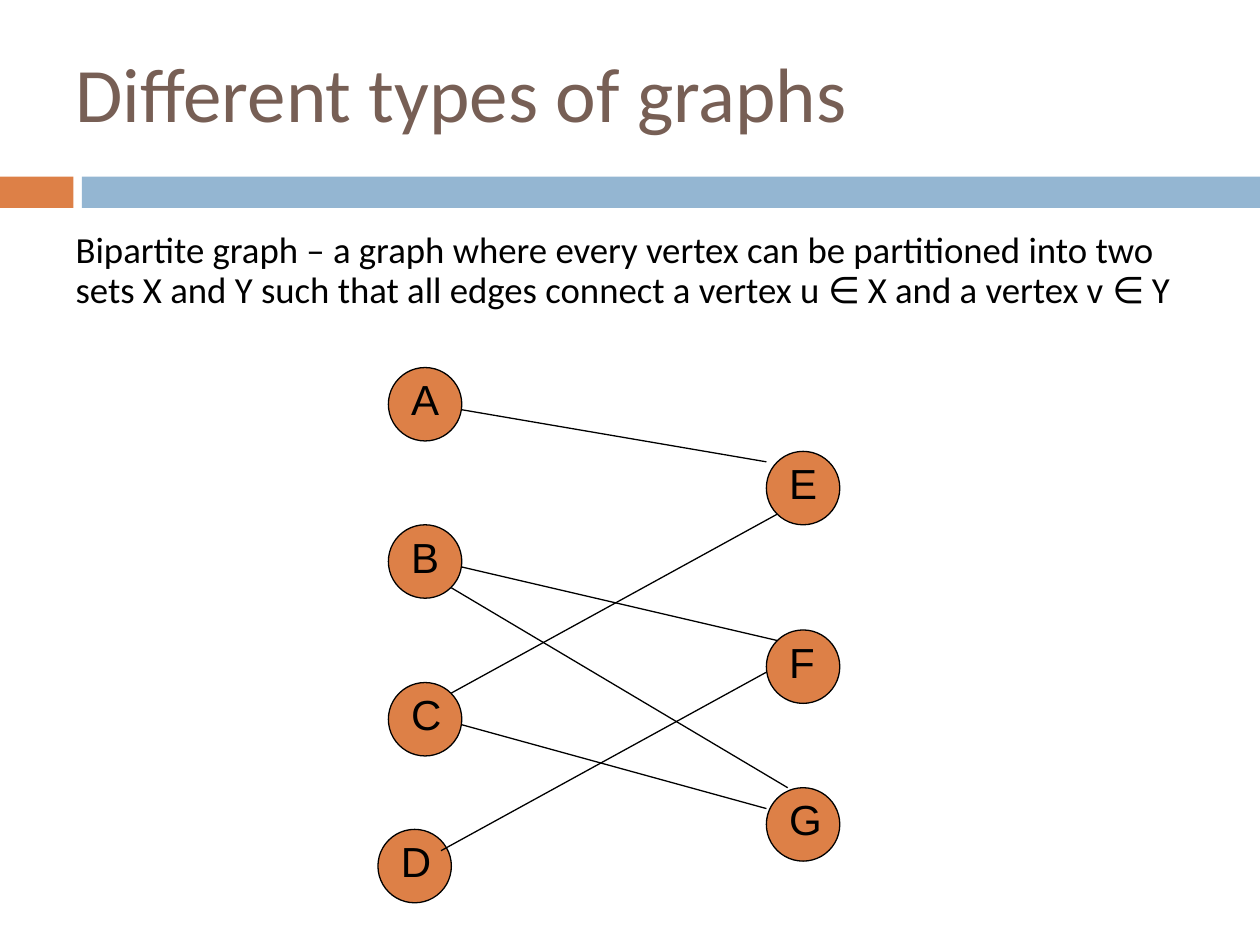
from dataclasses import dataclass

from lxml import etree
from pptx import Presentation
from pptx.dml.color import RGBColor
from pptx.enum.shapes import MSO_CONNECTOR, MSO_SHAPE
from pptx.enum.text import MSO_ANCHOR, MSO_AUTO_SIZE, PP_ALIGN
from pptx.oxml.ns import qn
from pptx.shapes.autoshape import Shape
from pptx.slide import Slide
from pptx.text.text import TextFrame
from pptx.util import Cm, Pt

RECTANGLE = MSO_SHAPE.RECTANGLE
OVAL = MSO_SHAPE.OVAL
STRAIGHT = MSO_CONNECTOR.STRAIGHT
LEFT = PP_ALIGN.LEFT
TOP = MSO_ANCHOR.TOP
MIDDLE = MSO_ANCHOR.MIDDLE
NO_AUTOFIT = MSO_AUTO_SIZE.NONE


@dataclass(frozen=True)
class TextStyle:
    font: str
    size: float
    color: RGBColor


@dataclass(frozen=True)
class Theme:
    orange: RGBColor = RGBColor(0xDD, 0x80, 0x47)
    blue: RGBColor = RGBColor(0x94, 0xB6, 0xD2)
    black: RGBColor = RGBColor(0, 0, 0)
    title: TextStyle = TextStyle("Calibri", 44, RGBColor(0x77, 0x5F, 0x55))
    body: TextStyle = TextStyle("Calibri", 21, RGBColor(0, 0, 0))
    label: TextStyle = TextStyle("Arial", 24, RGBColor(0, 0, 0))
    line_width: float = 0.75


@dataclass(frozen=True)
class Box:
    """Position and size in centimetres."""
    left: float
    top: float
    width: float
    height: float


@dataclass(frozen=True)
class Bar:
    box: Box
    color: RGBColor


@dataclass(frozen=True)
class Vertex:
    label: str
    left: float
    top: float


@dataclass(frozen=True)
class Edge:
    start: tuple[float, float]
    end: tuple[float, float]


THEME = Theme()
VERTEX_SIZE = 1.48
LABEL_SIZE = 1.27
LABEL_OFFSET = 0.21
X_SET_LEFT = 7.83
Y_SET_LEFT = 15.45

TITLE_BOX = Box(1.27, 0.33, 20.96, 3.05)
BODY_BOX = Box(1.27, 4.55, 22.86, 2.74)
BARS = [
    Bar(Box(0, 3.56, 1.48, 0.63), THEME.orange),
    Bar(Box(1.65, 3.56, 23.75, 0.63), THEME.blue),
]
VERTICES = [
    Vertex("A", X_SET_LEFT, 7.41),
    Vertex("B", X_SET_LEFT, 10.58),
    Vertex("C", X_SET_LEFT, 13.76),
    Vertex("E", Y_SET_LEFT, 9.1),
    Vertex("D", 7.62, 16.72),
    Vertex("F", Y_SET_LEFT, 12.7),
    Vertex("G", Y_SET_LEFT, 15.88),
]
EDGES = [
    Edge((8.89, 17.15), (15.45, 13.55)),  # D-F
    Edge((9.31, 14.61), (15.45, 16.3)),  # C-G
    Edge((9.1, 13.97), (15.66, 10.37)),  # C-E
    Edge((9.31, 11.43), (15.66, 12.91)),  # B-F
    Edge((9.31, 8.26), (15.45, 9.31)),  # A-E
    Edge((9.1, 11.85), (15.88, 15.88)),  # B-G
]


def write_text(frame: TextFrame, text: str, style: TextStyle, anchor: MSO_ANCHOR) -> None:
    frame.word_wrap = True
    frame.auto_size = NO_AUTOFIT
    frame.vertical_anchor = anchor
    paragraph = frame.paragraphs[0]
    paragraph.alignment = LEFT
    paragraph.space_before = Pt(0)
    run = paragraph.add_run()
    run.text = text
    run.font.name = style.font
    run.font.size = Pt(style.size)
    run.font.color.rgb = style.color


def place(shape: Shape, box: Box) -> None:
    shape.left, shape.top = Cm(box.left), Cm(box.top)
    shape.width, shape.height = Cm(box.width), Cm(box.height)


def fill_placeholders(slide: Slide) -> None:
    title, body = slide.shapes.title, slide.placeholders[1]
    place(title, TITLE_BOX)
    write_text(title.text_frame, "Different types of graphs", THEME.title, MIDDLE)

    place(body, BODY_BOX)
    paragraph = body.text_frame.paragraphs[0]
    properties = paragraph._p.get_or_add_pPr()
    properties.set("marL", "0")
    properties.set("indent", "0")
    etree.SubElement(properties, qn("a:buNone"))
    paragraph.line_spacing = 0.9
    write_text(
        body.text_frame,
        "Bipartite graph – a graph where every vertex can be partitioned into two "
        "sets X and Y such that all edges connect a vertex u ∈ X and a vertex v ∈ Y",
        THEME.body,
        TOP,
    )


def draw_bar(slide: Slide, bar: Bar) -> None:
    box = bar.box
    shape = slide.shapes.add_shape(
        RECTANGLE, Cm(box.left), Cm(box.top), Cm(box.width), Cm(box.height))
    shape.shadow.inherit = False
    shape.fill.solid()
    shape.fill.fore_color.rgb = bar.color
    shape.line.fill.background()


def draw_vertex(slide: Slide, vertex: Vertex) -> None:
    """Group a circle with its letter."""
    group = slide.shapes.add_group_shape()
    circle = group.shapes.add_shape(
        OVAL, Cm(vertex.left), Cm(vertex.top), Cm(VERTEX_SIZE), Cm(VERTEX_SIZE))
    circle.shadow.inherit = False
    circle.fill.solid()
    circle.fill.fore_color.rgb = THEME.orange
    circle.line.color.rgb = THEME.black
    circle.line.width = Pt(THEME.line_width)
    label = group.shapes.add_textbox(
        Cm(vertex.left + LABEL_OFFSET), Cm(vertex.top), Cm(LABEL_SIZE), Cm(LABEL_SIZE))
    write_text(label.text_frame, vertex.label, THEME.label, TOP)


def draw_edge(slide: Slide, edge: Edge) -> None:
    points = [Cm(value) for value in edge.start + edge.end]
    connector = slide.shapes.add_connector(STRAIGHT, *points)
    connector.line.color.rgb = THEME.black
    connector.line.width = Pt(THEME.line_width)
    etree.SubElement(connector._element.spPr, qn("a:effectLst"))


def main() -> None:
    presentation = Presentation()
    presentation.slide_width, presentation.slide_height = Cm(25.4), Cm(19.05)
    slide = presentation.slides.add_slide(presentation.slide_layouts[1])
    for bar in BARS:
        draw_bar(slide, bar)
    fill_placeholders(slide)
    for vertex in VERTICES:
        draw_vertex(slide, vertex)
    for edge in EDGES:
        draw_edge(slide, edge)
    presentation.save("out.pptx")


if __name__ == "__main__":
    main()
